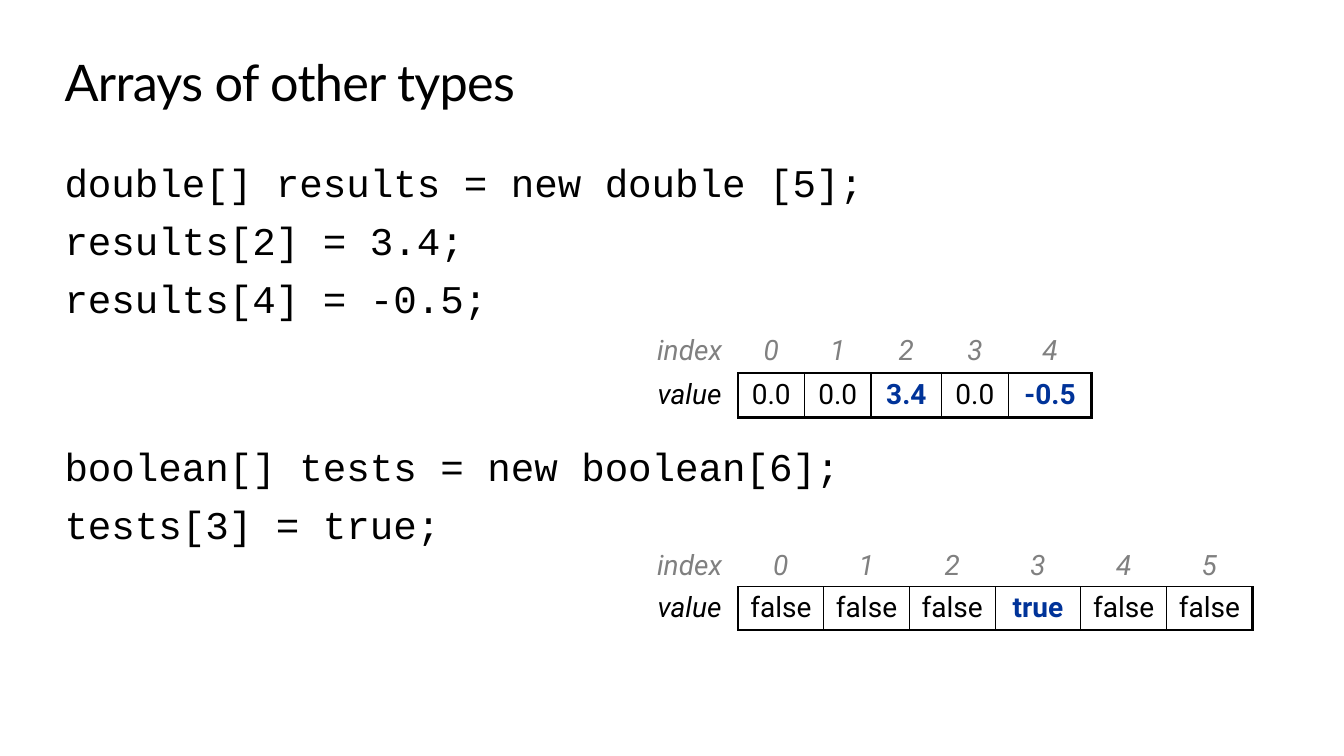
from pptx import Presentation
from pptx.dml.color import RGBColor
from pptx.enum import text
from pptx.oxml import ns
from pptx.util import Inches, Pt
from lxml import etree

BLACK, GREY, BLUE = "000000", "808080", "003399"
LEFT, WIDTH = 0.64, 12.05
CODE_GAP = 7.8       # points between code lines
TABLE_SPACE = 86.8   # points that leave room for the first table
THIN, THICK = 1, 2.25


def color(hex_value):
    return RGBColor.from_string(hex_value)


def add_span(para, words, font, size, hex_value=BLACK, bold=False, italic=False):
    span = para.add_run()
    span.text = words
    span.font.name, span.font.size = font, Pt(size)
    span.font.bold, span.font.italic = bold, italic
    span.font.color.rgb = color(hex_value)
    return span


def clear_margins(frame):
    frame.margin_left = frame.margin_right = 0
    frame.margin_top = frame.margin_bottom = 0
    frame.word_wrap = True


def set_title(page, words):
    title = page.shapes.title
    title.left, title.top = Inches(LEFT), Inches(0.5)
    title.width, title.height = Inches(WIDTH), Inches(0.61)
    frame = title.text_frame
    clear_margins(frame)
    frame.vertical_anchor = text.MSO_ANCHOR.MIDDLE
    para = frame.paragraphs[0]
    para.alignment = text.PP_ALIGN.LEFT
    para.line_spacing = 1.0
    span = add_span(para, words, "Lato", 36)
    span.font._element.set("spc", "-50")


def add_code(page, lines):
    """Each line is a pair: the code and the space before it in points."""
    box = page.shapes.add_textbox(Inches(LEFT), Inches(1.57), Inches(WIDTH), Inches(3.8))
    frame = box.text_frame
    clear_margins(frame)
    for number, (code, space) in enumerate(lines):
        para = frame.add_paragraph() if number else frame.paragraphs[0]
        para.space_before = Pt(space)
        add_span(para, code, "Courier New", 28)


def set_borders(cell, widths):
    """Draw the sides named in widths (L, R, T, B) and hide the others."""
    properties = cell._tc.get_or_add_tcPr()
    for position, side in enumerate("LRTB"):
        line = etree.Element(ns.qn(f"a:ln{side}"))
        if side in widths:
            line.set("w", str(Pt(widths[side])))
            fill = etree.SubElement(line, ns.qn("a:solidFill"))
            etree.SubElement(fill, ns.qn("a:srgbClr"), val=BLACK)
        else:
            etree.SubElement(line, ns.qn("a:noFill"))
        properties.insert(position, line)


def fill_cell(cell, words, borders, **style):
    cell.fill.background()
    cell.margin_top = cell.margin_bottom = Inches(0.03)
    cell.margin_left = cell.margin_right = Inches(0.05)
    cell.vertical_anchor = text.MSO_ANCHOR.MIDDLE
    para = cell.text_frame.paragraphs[0]
    para.alignment = text.PP_ALIGN.CENTER
    add_span(para, words, "Roboto", 20, **style)
    set_borders(cell, borders)


def add_array(page, top, values, value_widths, row_heights, assigned):
    """Show an array as a row of indexes above a row of boxed values."""
    widths = [0.96] + value_widths
    frame = page.shapes.add_table(2, len(widths), Inches(6.36), Inches(top),
                                  Inches(sum(widths)), Inches(sum(row_heights)))
    table = frame.table
    table.first_row = table.horz_banding = False
    for column, width in zip(table.columns, widths):
        column.width = Inches(width)
    for row, height in zip(table.rows, row_heights):
        row.height = Inches(height)

    # Row labels
    fill_cell(table.cell(0, 0), "index", {}, hex_value=GREY, italic=True)
    fill_cell(table.cell(1, 0), "value", {"R": THIN}, italic=True)

    # Indexes and values
    for index, value in enumerate(values):
        last = index == len(values) - 1
        changed = index in assigned
        fill_cell(table.cell(0, index + 1), str(index), {"B": THIN},
                  hex_value=GREY, italic=True)
        borders = {"L": THIN, "T": THIN, "R": THICK if last else THIN, "B": THICK}
        fill_cell(table.cell(1, index + 1), value, borders,
                  hex_value=BLUE if changed else BLACK, bold=changed)


def main():
    deck = Presentation()
    deck.slide_width, deck.slide_height = Inches(13.33), Inches(7.5)
    page = deck.slides.add_slide(deck.slide_layouts[5])

    set_title(page, "Arrays of other types")
    add_code(page, [
        ("double[] results = new double [5];", CODE_GAP),
        ("results[2] = 3.4;", CODE_GAP),
        ("results[4] = -0.5;", CODE_GAP),
        ("boolean[] tests = new boolean[6];", TABLE_SPACE),
        ("tests[3] = true;", CODE_GAP),
    ])

    # Array contents after the assignments
    add_array(page, 3.26, ["0.0", "0.0", "3.4", "0.0", "-0.5"],
              [0.66, 0.66, 0.7, 0.66, 0.83], [0.44, 0.44], {2, 4})
    add_array(page, 5.4, ["false", "false", "false", "true", "false", "false"],
              [0.85] * 6, [0.42, 0.43], {3})

    deck.save("out.pptx")


if __name__ == "__main__":
    main()
